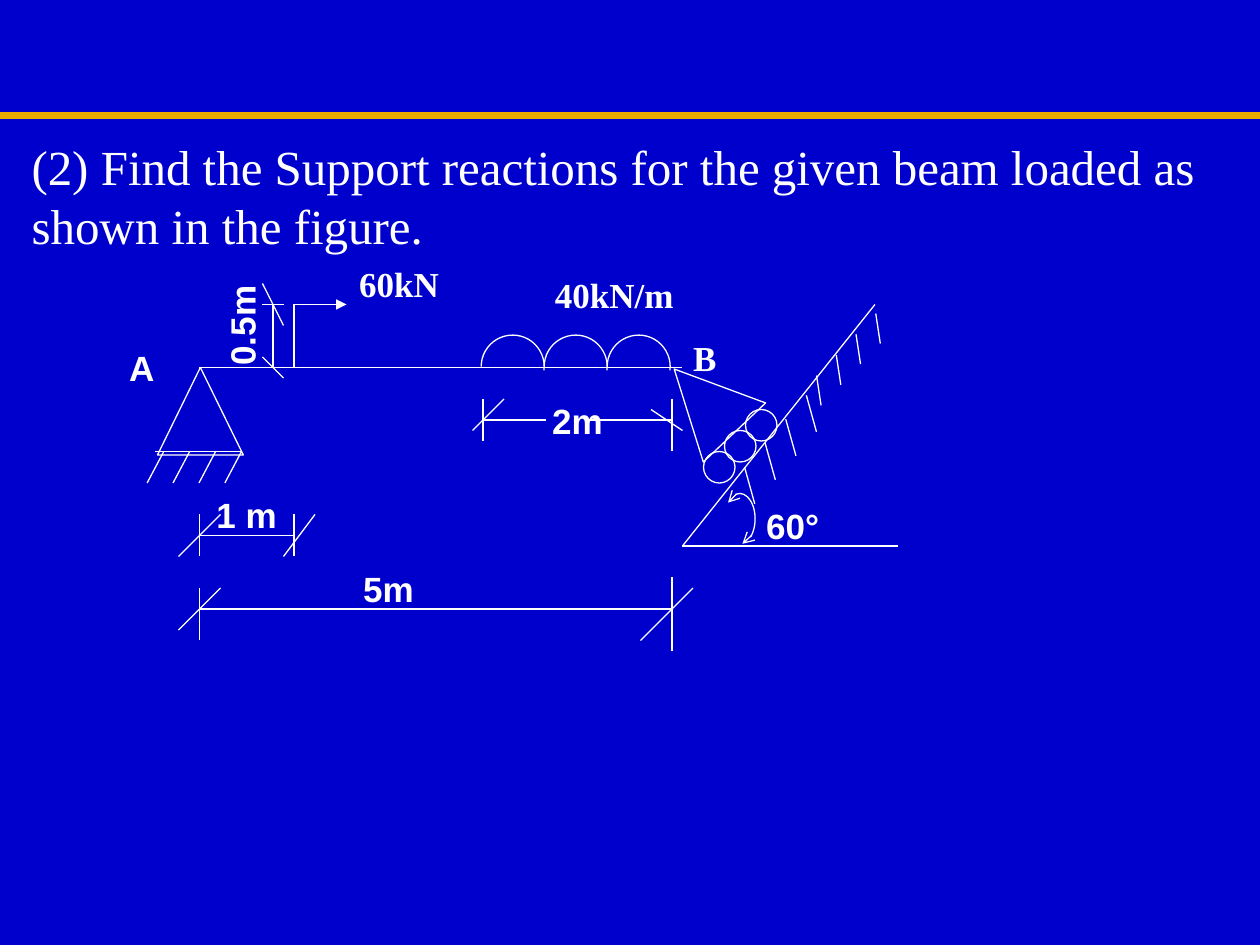
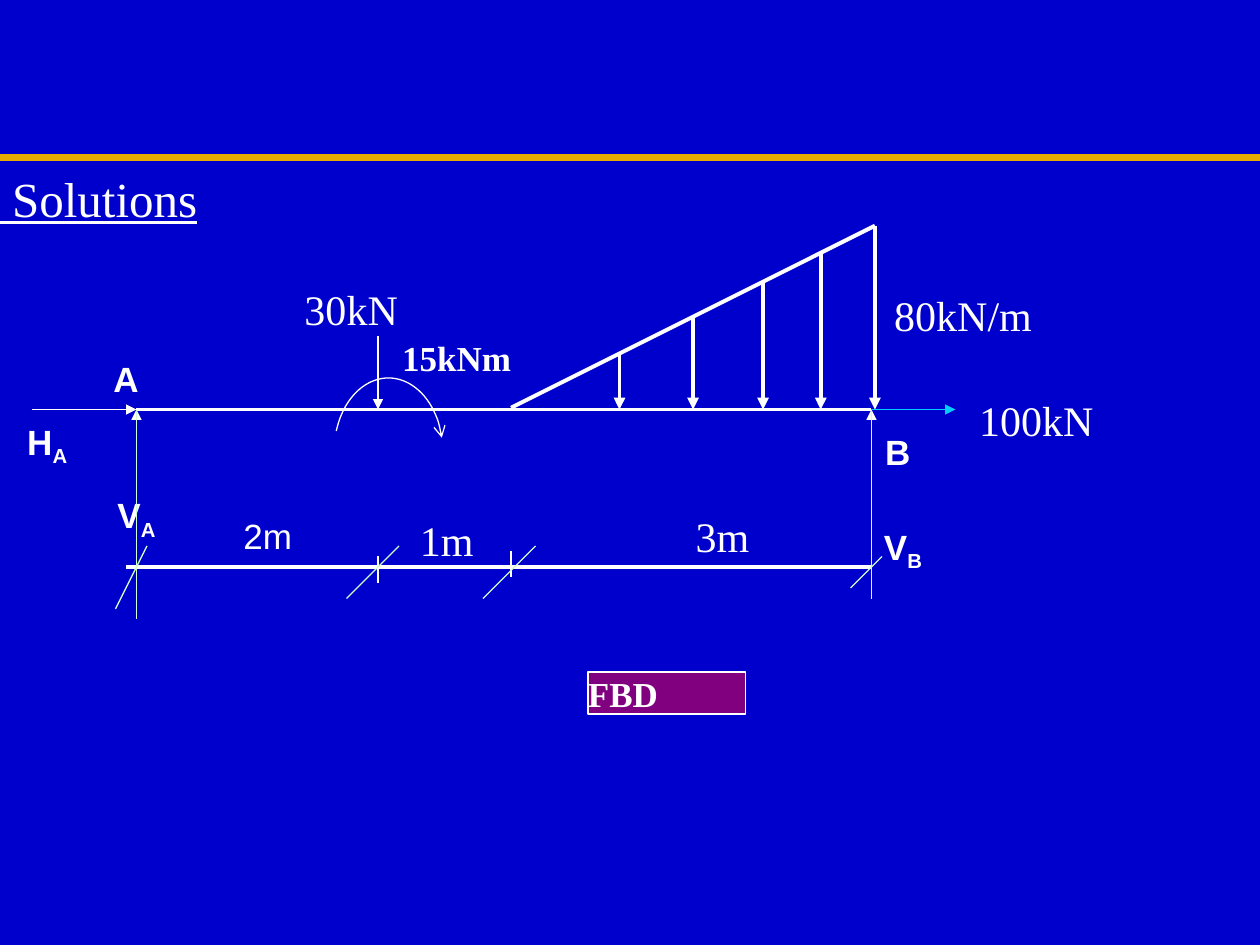
from dataclasses import dataclass

from lxml import etree
from pptx import Presentation
from pptx.dml.color import RGBColor
from pptx.enum import shapes, text
from pptx.oxml.ns import qn
from pptx.util import Pt


@dataclass(frozen=True)
class Theme:
    background: str = "0000CC"
    band: str = "E8AB00"
    ink: str = "FFFFFF"
    extension: str = "CCFFCC"
    pull: str = "00CCFF"
    tag: str = "800080"
    serif: str = "Times New Roman"
    sans: str = "Arial"
    title_size: float = 28
    value_size: float = 24
    label_size: float = 20
    band_width: float = 4.5
    thick: float = 2.25
    thin: float = 0.75


THEME = Theme()
LEFT, CENTER = text.PP_ALIGN.LEFT, text.PP_ALIGN.CENTER
SHAPE = shapes.MSO_SHAPE

MARK = dict(font=THEME.sans, size=THEME.label_size, bold=True, align=CENTER)
LOAD = {**MARK, "font": THEME.serif}
VALUE = dict(font=THEME.serif, size=THEME.value_size, bold=False, align=LEFT)

PROBLEM = {
    "title": "(2) Find the Support reactions for the given beam loaded as shown in the figure.",
    "title_box": (18, 78, 678, 67),
    "band_y": 66,
    "labels": [
        ("60°", (432, 288, 42, 24), MARK),
        ("2m", (306, 228, 48, 24), MARK),
        ("40kN/m", (294, 156, 114, 24), LOAD),
        ("A", (60, 198, 42, 24), MARK),
        ("60kN", (192, 150, 72, 24), LOAD),
        ("0.5m", (114, 174, 48, 24), {**MARK, "turn": 270}),
        ("5m", (186, 324, 72, 24), MARK),
        ("1 m", (120, 282, 42, 24), MARK),
        ("B", (396, 192, 18, 24), {**LOAD, "align": LEFT}),
    ],
}

SOLUTION = {
    "title": " Solutions",
    "title_box": (0, 96, 330, 34),
    "band_y": 90,
    "labels": [
        ("80kN/m", (511, 165.5, 97, 28), VALUE),
        ("100kN", (559.5, 225.5, 112, 28), VALUE),
        ("3m", (397.5, 291.5, 38, 28), VALUE),
        ("1m", (240, 294, 42, 28), VALUE),
        ("30kN", (174, 162, 68, 28), VALUE),
        ("2m", (120, 294, 66, 24), {**MARK, "bold": False}),
        ("A", (54, 204, 36, 24), MARK),
        ("B", (498, 246, 30, 24), MARK),
        ("V_A", (54, 282, 48, 27), MARK),
        ("H_A", (0, 240, 54, 27), MARK),
        ("V_B", (498, 300, 36, 27), MARK),
        ("15kNm", (222, 192, 78, 24), LOAD),
    ],
}

BEAM = (114, 210, 390, 210)
LOAD_POST = (168, 210, 168, 174)
LOAD_ARROW = (168, 174, 198, 174)
INCLINE = [(500, 174, 390, 312), (390, 312, 513, 312)]
PIN_BASE = (138, 258, 88.5, 258)
SUPPORTS = [((90, 210, 49, 50), 0), ((378, 204, 49, 50), 316.5)]
DIMENSIONS = {
    "5m": [(114, 348, 384, 348), (114, 336, 114, 366), (384, 330, 384, 372),
           (126, 336, 102, 360), (396, 336, 366, 366)],
    "1 m": [(114, 306, 168, 306), (114, 294, 114, 318), (168, 294, 168, 318),
            (126, 294, 102, 318), (180, 294, 162, 318)],
    "2m": [(276, 240, 312, 240), (336, 240, 384, 240), (276, 228, 276, 252),
           (384, 228, 384, 258), (288, 228, 270, 246), (372, 234, 390, 246)],
    "0.5m": [(156, 174, 156, 210), (150, 174, 162, 174),
             (150, 162, 162, 186), (150, 204, 162, 216)],
}
HATCHES = [
    dict(start=(93.6, 258), step=(14.8, 0), stroke=(-9.5, 18)),
    dict(start=(425.5, 267), step=(11.76, -13.7), stroke=(5.8, 20.9)),
    dict(start=(466.6, 214.6), step=(11.28, -11.8), stroke=(2.6, 17.1)),
]

BEAM_Y, SUPPORT_A, SUPPORT_B = 234, 78, 498
RAMP_START, RAMP_END, RAMP_FOOT = 292, 500, 233
RAMP_ARROWS = [354, 396, 436, 469, 500]
FORCES = [(216, 192, 216, BEAM_Y), (18, BEAM_Y, SUPPORT_A, BEAM_Y),
          (SUPPORT_A, 288, SUPPORT_A, BEAM_Y), (SUPPORT_B, 300, SUPPORT_B, BEAM_Y)]
SPAN_LINE = (72, 324, SUPPORT_B, 324)
SPAN_TICKS = [(216, 318, 216, 333), (292, 315, 292, 330)]
EXTENSIONS = [(SUPPORT_A, BEAM_Y, SUPPORT_A, 354), (SUPPORT_B, BEAM_Y, SUPPORT_B, 342),
              (84, 312, 66, 348), (228, 312, 198, 342),
              (306, 312, 276, 342), (504, 318, 486, 336)]


def rgb(color):
    return RGBColor.from_string(color)


def points(values):
    return [Pt(value) for value in values]


def style_line(outline, color=THEME.ink, width=THEME.thin, head=None, tail=None):
    outline.color.rgb = rgb(color)
    outline.width = Pt(width)
    for end, kind in (("a:headEnd", head), ("a:tailEnd", tail)):
        if kind:
            etree.SubElement(outline._get_or_add_ln(), qn(end), type=kind)


def draw_line(slide, ends, **style):
    stroke = slide.shapes.add_connector(shapes.MSO_CONNECTOR.STRAIGHT, *points(ends))
    style_line(stroke.line, **style)
    etree.SubElement(stroke._element.spPr, qn("a:effectLst"))


def draw_outline(slide, kind, box, turn=0, **style):
    outline = slide.shapes.add_shape(kind, *points(box))
    outline.shadow.inherit = False
    outline.fill.background()
    outline.rotation = turn
    style_line(outline.line, **style)
    return outline


def draw_arc(slide, box, start, end, **style):
    arc = draw_outline(slide, SHAPE.ARC, box, **style)
    for index, angle in enumerate((start, end)):
        arc.adjustments[index] = angle * 0.6


def write(frame, words, font, size, bold=False, align=LEFT, underline=False):
    frame.margin_left = frame.margin_top = frame.margin_right = frame.margin_bottom = 0
    frame.word_wrap = True
    frame.auto_size = text.MSO_AUTO_SIZE.NONE
    frame.vertical_anchor = text.MSO_ANCHOR.TOP
    line = frame.paragraphs[0]
    line.alignment = align
    line.font.name, line.font.size = font, Pt(size)
    line.font.bold, line.font.underline = bold, underline
    line.font.color.rgb = rgb(THEME.ink)
    base, _, subscript = words.partition("_")
    line.add_run().text = base
    if subscript:
        lowered = line.add_run()
        lowered.text = subscript
        lowered.font._element.set("baseline", "-25000")


def draw_label(slide, words, box, style):
    style = dict(style)
    label = slide.shapes.add_textbox(*points(box))
    label.rotation = style.pop("turn", 0)
    write(label.text_frame, words, **style)


def start_slide(prs, content, underline=False):
    slide = prs.slides.add_slide(prs.slide_layouts[5])
    title = slide.shapes.title
    title.left, title.top, title.width, title.height = points(content["title_box"])
    write(title.text_frame, content["title"], THEME.serif, THEME.title_size,
          underline=underline)
    draw_line(slide, (0, content["band_y"], 720, content["band_y"]),
              color=THEME.band, width=THEME.band_width)
    for words, box, style in content["labels"]:
        draw_label(slide, words, box, style)
    return slide


def build_problem(prs):
    slide = start_slide(prs, PROBLEM)
    for ends in [BEAM, LOAD_POST, PIN_BASE, *INCLINE, *sum(DIMENSIONS.values(), [])]:
        draw_line(slide, ends)
    draw_line(slide, LOAD_ARROW, tail="triangle")
    for box, turn in SUPPORTS:
        draw_outline(slide, SHAPE.ISOSCELES_TRIANGLE, box, turn)
    for i in range(3):
        draw_outline(slide, SHAPE.OVAL, (402 + 12 * i, 258 - 12 * i, 18, 18))
        draw_arc(slide, (275 + 36 * i, 191.5, 36, 36), 180, 7)
    draw_arc(slide, (414, 282, 17.5, 29), 234, 84, head="arrow", tail="arrow")
    for hatch in HATCHES:
        (x, y), (step_x, step_y), (dx, dy) = hatch.values()
        for i in range(4):
            left, top = x + i * step_x, y + i * step_y
            draw_line(slide, (left, top, left + dx, top + dy))


def ramp_top(x):
    return RAMP_FOOT - (x - RAMP_START) / 2


def build_solution(prs):
    slide = start_slide(prs, SOLUTION, underline=True)
    ramp = (RAMP_START, RAMP_FOOT, RAMP_END, ramp_top(RAMP_END))
    for ends in (ramp, (SUPPORT_A, BEAM_Y, SUPPORT_B, BEAM_Y), SPAN_LINE):
        draw_line(slide, ends, width=THEME.thick)
    for x in RAMP_ARROWS:
        draw_line(slide, (x, ramp_top(x), x, BEAM_Y), width=THEME.thick, tail="triangle")
    for ends in FORCES:
        draw_line(slide, ends, tail="triangle")
    for ends in SPAN_TICKS:
        draw_line(slide, ends)
    for ends in EXTENSIONS:
        draw_line(slide, ends, color=THEME.extension)
    draw_line(slide, (SUPPORT_B, BEAM_Y, 546, BEAM_Y), color=THEME.pull, tail="triangle")
    draw_arc(slide, (191, 216, 62, 83.5), 201, 346, tail="arrow")
    diagram_tag = draw_outline(slide, SHAPE.RECTANGLE, (336, 384, 90, 24))
    diagram_tag.fill.solid()
    diagram_tag.fill.fore_color.rgb = rgb(THEME.tag)
    write(diagram_tag.text_frame, "FBD", THEME.serif, THEME.label_size, bold=True)


def main():
    prs = Presentation()
    prs.slide_width, prs.slide_height = Pt(720), Pt(540)
    backdrop = prs.slide_master.background.fill
    backdrop.solid()
    backdrop.fore_color.rgb = rgb(THEME.background)
    build_problem(prs)
    build_solution(prs)
    prs.save("out.pptx")


if __name__ == "__main__":
    main()
